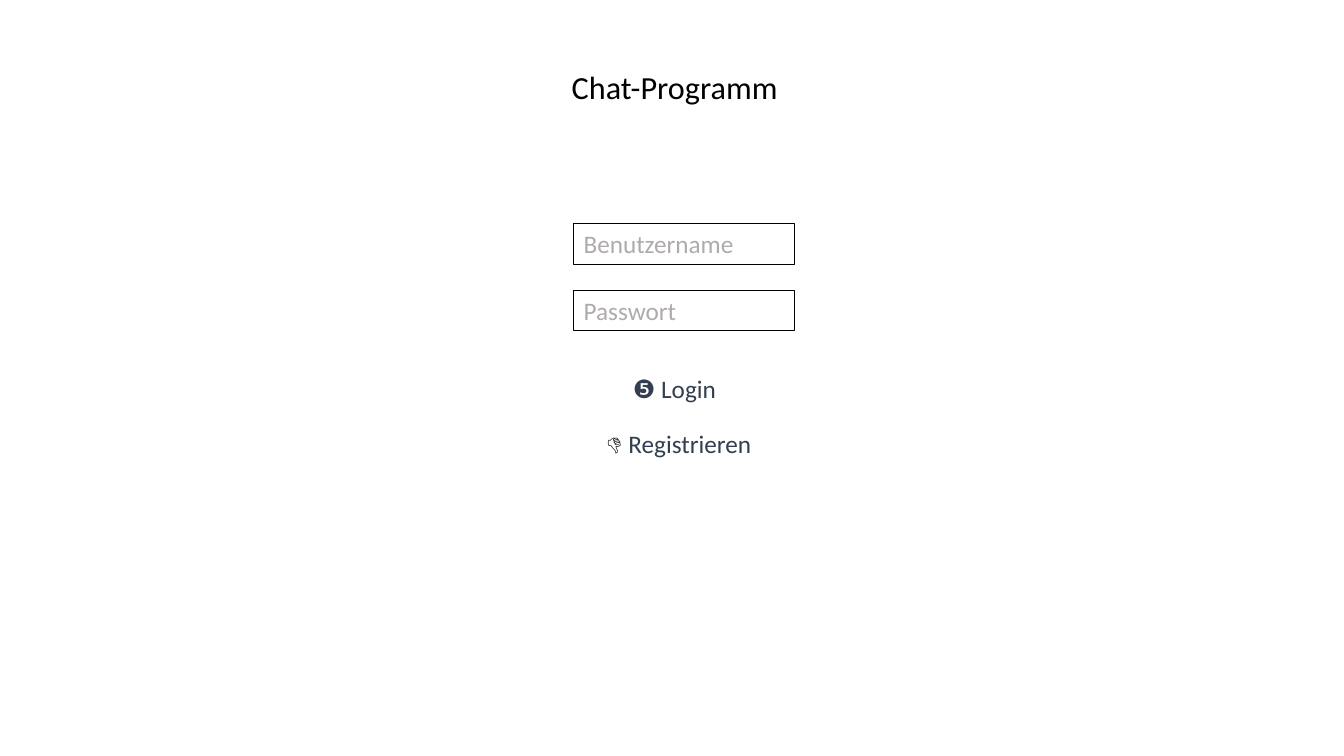
"""Build the login screen slide of a chat program."""
from dataclasses import dataclass

from pptx import Presentation
from pptx.dml.color import RGBColor
from pptx.enum.shapes import MSO_SHAPE
from pptx.enum.text import MSO_ANCHOR, MSO_AUTO_SIZE, PP_ALIGN
from pptx.text.text import TextFrame
from pptx.util import Inches, Pt

BLACK = RGBColor(0x00, 0x00, 0x00)
GREY = RGBColor(0xAF, 0xAB, 0xAB)
NAVY = RGBColor(0x33, 0x3F, 0x50)
FIELD_LEFT, FIELD_TOP, FIELD_STEP, FIELD_WIDTH = 5.69, 2.22, 0.66, 2.19
ROW_HEIGHT = 0.4


@dataclass(frozen=True)
class Span:
    text: str
    color: RGBColor
    font: str = "Calibri"
    size: float = 18


@dataclass(frozen=True)
class Action:
    left: float
    top: float
    width: float
    icon: Span
    label: Span


FIELDS = ["Benutzername", "Passwort"]
ACTIONS = [
    Action(6.18, 3.65, 1.3, Span("❺", NAVY, "Arial"), Span(" Login", NAVY)),
    Action(5.91, 4.2, 1.85, Span("👎", BLACK, "Arial"), Span(" Registrieren", NAVY)),
]


def write(tf: TextFrame, *spans: Span) -> None:
    tf.word_wrap = True
    tf.auto_size = MSO_AUTO_SIZE.NONE
    tf.vertical_anchor = MSO_ANCHOR.TOP
    p = tf.paragraphs[0]
    p.alignment = PP_ALIGN.LEFT
    for span in spans:
        r = p.add_run()
        r.text = span.text
        r.font.name = span.font
        r.font.size = Pt(span.size)
        r.font.color.rgb = span.color


def add_title(s, text: str) -> None:
    title = s.shapes.title
    title.left, title.top = Inches(5.57), Inches(0.62)
    title.width, title.height = Inches(2.32), Inches(0.49)
    write(title.text_frame, Span(text, BLACK, size=23))


def add_field(s, row: int, hint: str) -> None:
    sp = s.shapes.add_shape(
        MSO_SHAPE.RECTANGLE, Inches(FIELD_LEFT), Inches(FIELD_TOP + row * FIELD_STEP),
        Inches(FIELD_WIDTH), Inches(ROW_HEIGHT))
    sp.shadow.inherit = False
    sp.fill.background()
    sp.line.color.rgb = BLACK
    sp.line.width = Pt(0.75)
    write(sp.text_frame, Span(hint, GREY))


def add_action(s, action: Action) -> None:
    box = s.shapes.add_textbox(
        Inches(action.left), Inches(action.top), Inches(action.width), Inches(ROW_HEIGHT))
    write(box.text_frame, action.icon, action.label)


def main() -> None:
    prs = Presentation()
    prs.slide_width, prs.slide_height = Inches(13.33), Inches(7.5)
    s = prs.slides.add_slide(prs.slide_layouts.get_by_name("Title Only"))
    add_title(s, "Chat-Programm")
    for row, hint in enumerate(FIELDS):
        add_field(s, row, hint)
    for action in ACTIONS:
        add_action(s, action)
    prs.save("out.pptx")


if __name__ == "__main__":
    main()
